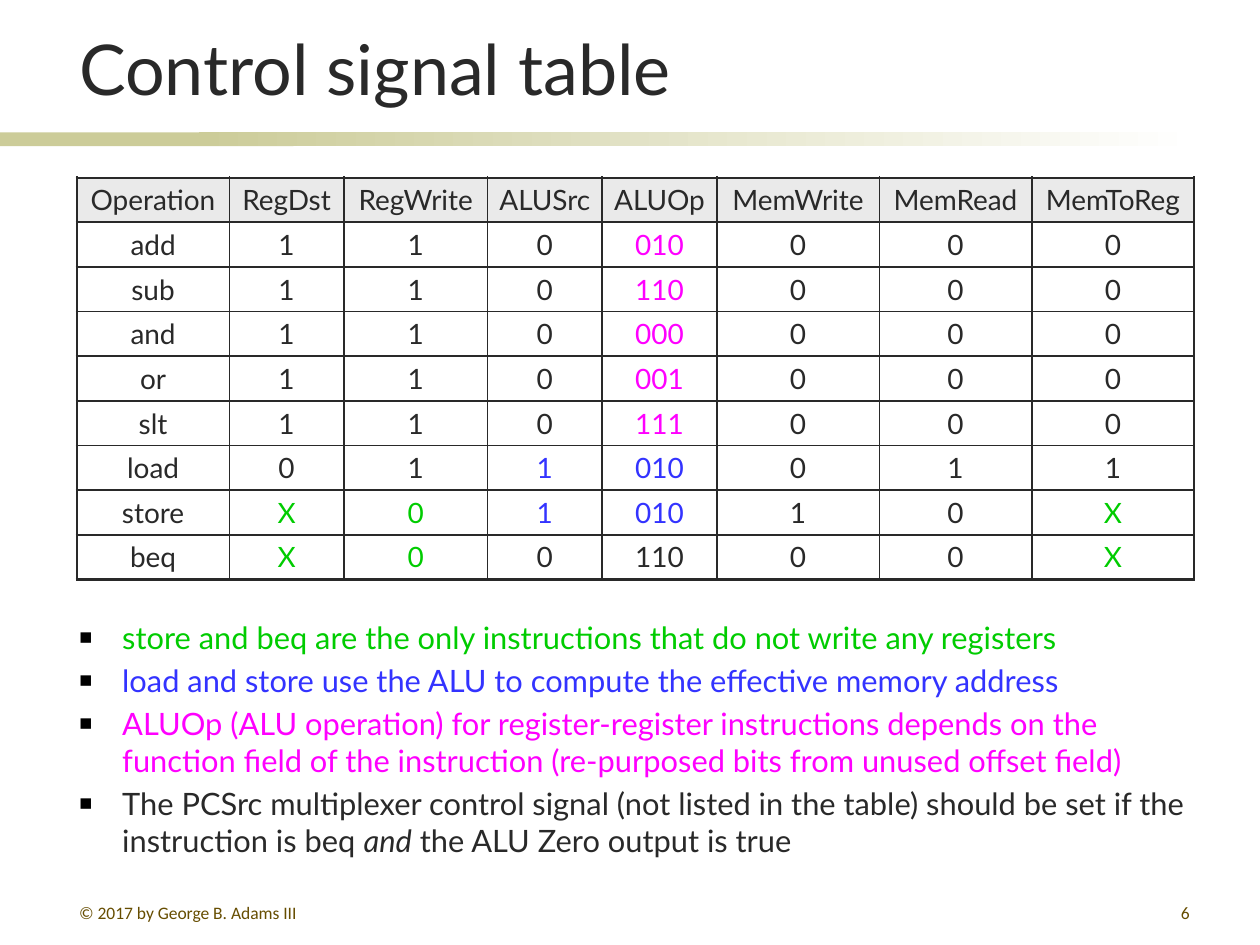
from lxml import etree
from pptx import Presentation
from pptx.dml.color import RGBColor
from pptx.enum.shapes import MSO_SHAPE
from pptx.enum.text import MSO_ANCHOR, MSO_AUTO_SIZE, PP_ALIGN
from pptx.oxml.ns import qn
from pptx.util import Inches, Pt

RECTANGLE = MSO_SHAPE.RECTANGLE
LEFT, CENTER, RIGHT = PP_ALIGN.LEFT, PP_ALIGN.CENTER, PP_ALIGN.RIGHT
TOP, MIDDLE, BOTTOM = MSO_ANCHOR.TOP, MSO_ANCHOR.MIDDLE, MSO_ANCHOR.BOTTOM
NO_AUTOFIT = MSO_AUTO_SIZE.NONE

INK = RGBColor(0x29, 0x29, 0x29)
BLACK = RGBColor(0x00, 0x00, 0x00)
WHITE = RGBColor(0xFF, 0xFF, 0xFF)
KHAKI = RGBColor(0xCC, 0xCC, 0x99)
HEADER_GREY = RGBColor(0xEA, 0xEA, 0xEA)
FOOTER_BROWN = RGBColor(0x66, 0x4D, 0x00)
GREEN = RGBColor(0x00, 0xCC, 0x00)
BLUE = RGBColor(0x33, 0x33, 0xFF)
MAGENTA = RGBColor(0xFF, 0x00, 0xFF)

# One colour letter per table column
CELL_COLORS = {"k": INK, "g": GREEN, "b": BLUE, "m": MAGENTA}
SIGNAL_ROWS = [
    ("Operation RegDst RegWrite ALUSrc ALUOp MemWrite MemRead MemToReg", "kkkkkkkk"),
    ("add 1 1 0 010 0 0 0", "kkkkmkkk"),
    ("sub 1 1 0 110 0 0 0", "kkkkmkkk"),
    ("and 1 1 0 000 0 0 0", "kkkkmkkk"),
    ("or 1 1 0 001 0 0 0", "kkkkmkkk"),
    ("slt 1 1 0 111 0 0 0", "kkkkmkkk"),
    ("load 0 1 1 010 0 1 1", "kkkbbkkk"),
    ("store X 0 1 010 1 0 X", "kggbbkkg"),
    ("beq X 0 0 110 0 0 X", "kggkkkkg"),
]
COLUMN_WIDTHS = [1.21, 0.91, 1.14, 0.91, 0.91, 1.29, 1.21, 1.29]

# Each bullet: colour and (text, italic) runs
BULLETS = [
    (GREEN, [("store and beq are the only instructions that do not write any registers", False)]),
    (BLUE, [("load and store use the ALU to compute the effective memory address", False)]),
    (MAGENTA, [("ALUOp (ALU operation) for register-register instructions depends on the "
                "function field of the instruction (re-purposed bits from unused offset field)",
                False)]),
    (INK, [("The PCSrc multiplexer control signal (not listed in the table) should be set "
            "if the instruction is beq ", False),
           ("and", True),
           (" the ALU Zero output is true", False)]),
]


class SlideBuilder:
    """Holds the text style and the current slide."""

    font = "Lato"
    footer_font = "Calibri"
    bullet_size = 17.6

    def __init__(self, slide):
        self.slide = slide

    def add_run(self, paragraph, text, size, color, font=None, italic=False):
        run = paragraph.add_run()
        run.text = text
        run.font.name = font or self.font
        run.font.size = Pt(size)
        run.font.color.rgb = color
        run.font.italic = italic

    def place(self, shape, left, top, width, height, anchor):
        shape.left, shape.top = Inches(left), Inches(top)
        shape.width, shape.height = Inches(width), Inches(height)
        frame = shape.text_frame
        frame.word_wrap = True
        frame.auto_size = NO_AUTOFIT
        frame.vertical_anchor = anchor
        return frame

    def title(self, text, *box):
        paragraph = self.place(self.slide.shapes.title, *box, BOTTOM).paragraphs[0]
        paragraph.alignment = LEFT
        self.add_run(paragraph, text, 40, INK)

    def band(self, left, width, end_color=None):
        shape = self.slide.shapes.add_shape(
            RECTANGLE, Inches(left), Inches(1.05), Inches(width), Inches(0.11))
        shape.shadow.inherit = False
        shape.line.fill.background()
        if end_color is None:
            shape.fill.solid()
            shape.fill.fore_color.rgb = KHAKI
            return
        shape.fill.gradient()
        shape.fill.gradient_angle = 0
        for stop, color, position in zip(shape.fill.gradient_stops, (KHAKI, end_color), (0, 1)):
            stop.color.rgb = color
            stop.position = position

    def bullets(self, items, *box):
        frame = self.place(self.slide.placeholders[1], *box, TOP)
        for index, (color, runs) in enumerate(items):
            paragraph = frame.add_paragraph() if index else frame.paragraphs[0]
            paragraph.space_before = Pt(0.2 * self.bullet_size if index else 0)
            self.square_bullet(paragraph)
            for text, italic in runs:
                self.add_run(paragraph, text, self.bullet_size, color, italic=italic)

    def square_bullet(self, paragraph):
        properties = paragraph._p.get_or_add_pPr()
        properties.set("marL", str(Inches(0.34)))
        properties.set("indent", str(-Inches(0.34)))
        bullet_color = etree.SubElement(properties, qn("a:buClr"))
        etree.SubElement(bullet_color, qn("a:srgbClr"), val=str(BLACK))
        etree.SubElement(properties, qn("a:buSzPct"), val="70000")
        etree.SubElement(properties, qn("a:buChar"), char="■")

    def cell_borders(self, cell, widths):
        properties = cell._tc.get_or_add_tcPr()
        for side, width in widths.items():
            line = etree.SubElement(properties, qn(f"a:ln{side}"), w=str(Pt(width)))
            fill = etree.SubElement(line, qn("a:solidFill"))
            etree.SubElement(fill, qn("a:srgbClr"), val=str(INK))

    def table(self, rows, column_widths, left, top, height):
        row_count, column_count = len(rows), len(column_widths)
        table = self.slide.shapes.add_table(
            row_count, column_count, Inches(left), Inches(top),
            Inches(sum(column_widths)), Inches(height)).table
        table.first_row = table.horz_banding = False
        for column, width in zip(table.columns, column_widths):
            column.width = Inches(width)
        for row_index, (texts, colors) in enumerate(rows):
            for column_index, (text, color) in enumerate(zip(texts.split(), colors)):
                cell = table.cell(row_index, column_index)
                cell.margin_left = cell.margin_right = Inches(0.09)
                cell.margin_top = cell.margin_bottom = Inches(0.04)
                cell.vertical_anchor = MIDDLE
                # Thick outline and header rule, thin inner grid
                self.cell_borders(cell, {
                    "L": 1.5 if column_index == 0 else 1,
                    "R": 1.5 if column_index == column_count - 1 else 1,
                    "T": 1.5 if row_index <= 1 else 1,
                    "B": 1.5 if row_index in (0, row_count - 1) else 1,
                })
                if row_index == 0:
                    cell.fill.solid()
                    cell.fill.fore_color.rgb = HEADER_GREY
                else:
                    cell.fill.background()
                paragraph = cell.text_frame.paragraphs[0]
                paragraph.alignment = CENTER
                self.add_run(paragraph, text, 16, CELL_COLORS[color])

    def footer(self, text, alignment, *box):
        shape = self.slide.shapes.add_textbox(0, 0, 0, 0)
        paragraph = self.place(shape, *box, TOP).paragraphs[0]
        paragraph.alignment = alignment
        self.add_run(paragraph, text, 10, FOOTER_BROWN, self.footer_font)


def main():
    presentation = Presentation()
    presentation.slide_width, presentation.slide_height = Inches(10), Inches(7.5)
    builder = SlideBuilder(presentation.slides.add_slide(presentation.slide_layouts[1]))

    # Title and the band below it
    builder.band(0, 2.33)
    builder.band(1.58, 7.92, WHITE)
    builder.title("Control signal table", 0.53, 0.11, 9.01, 0.81)

    # Signal table and remarks
    builder.table(SIGNAL_ROWS, COLUMN_WIDTHS, 0.61, 1.41, 3.19)
    builder.bullets(BULLETS, 0.53, 4.86, 9.02, 2.16)

    # Footer
    builder.footer("© 2017 by George B. Adams III", LEFT, 0.53, 7.11, 2.17, 0.21)
    builder.footer("6", RIGHT, 7.46, 7.11, 2.08, 0.21)

    presentation.save("out.pptx")


if __name__ == "__main__":
    main()
